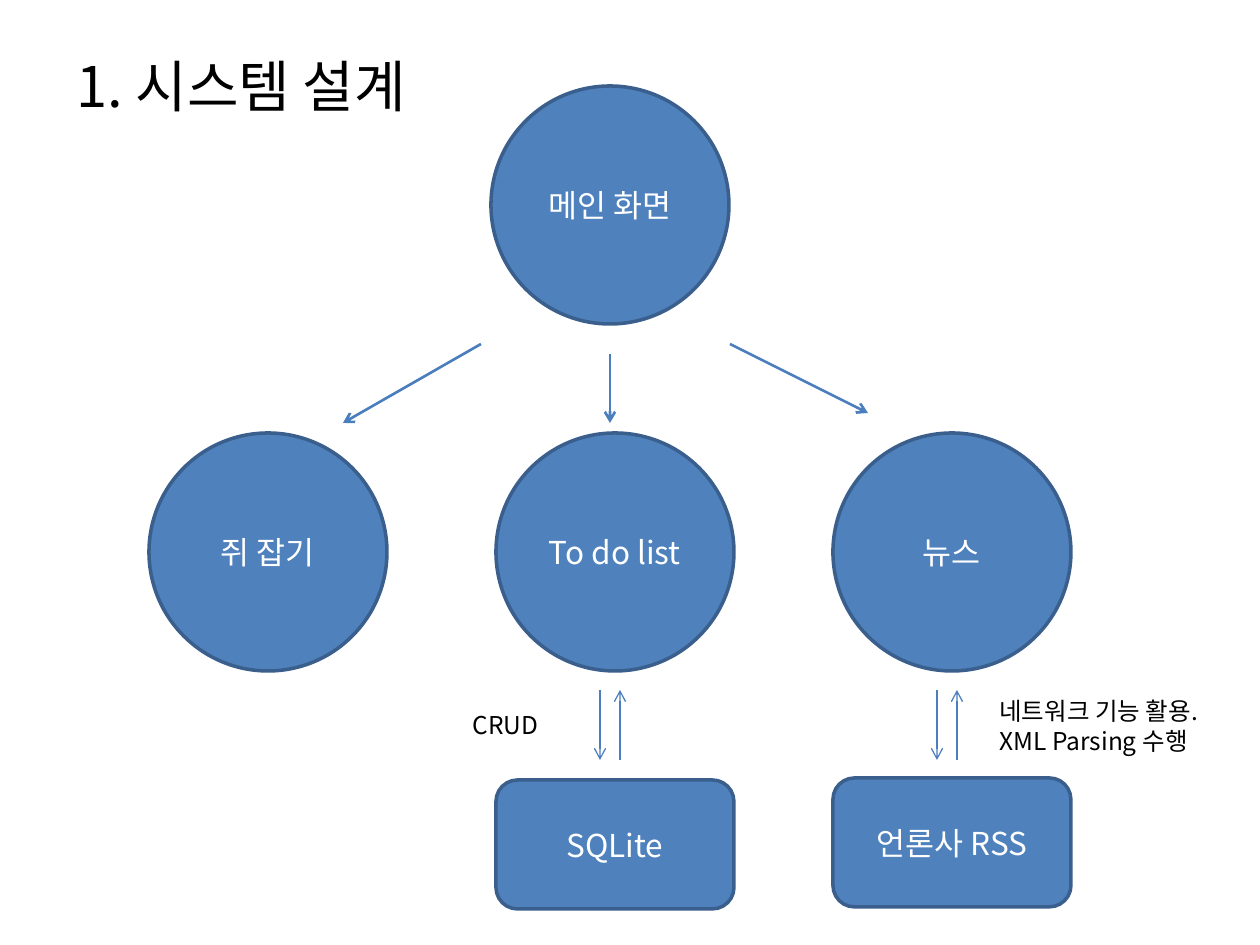
"""Build a one-slide system design diagram: main screen, three features and their data sources."""
from pptx import Presentation
from pptx import util as u
from pptx.dml.color import RGBColor
from pptx.enum import shapes, text
from pptx.oxml.ns import qn
from lxml import etree

FONT = "Noto Sans CJK KR"
COLORS = {"fill": "4F81BD", "edge": "3A5F8C", "arrow": "4B7EBC", "white": "FFFFFF", "black": "000000"}
PX = 914400 // 126
DIAMETER, BOX_H = 238, 129
FEATURE_Y = 433

CIRCLES = [
    ("메인 화면", 491, 86),
    ("To do list", 496, FEATURE_Y),
    ("쥐 잡기", 149, FEATURE_Y),
    ("뉴스", 833, FEATURE_Y),
]
SOURCES = [("SQLite", 496, 780), ("언론사 RSS", 833, 778)]
BRANCHES = [(481, 344, 343, 423), (610, 354, 610, 423), (730, 344, 868, 413)]
EXCHANGE_TOP, EXCHANGE_BOTTOM = 690, 760
LABELS = [
    (["1. 시스템 설계"], (64, 45, 1005, 149), 32, True),
    (["CRUD"], (460, 704, 91, 43), 14, False),
    (["네트워크 기능 활용.", "XML Parsing 수행"], (987, 690, 246, 72), 14, False),
]

prs = Presentation()
prs.slide_width, prs.slide_height = u.Inches(10), u.Inches(7.5)
s = prs.slides.add_slide(prs.slide_layouts[6])


def rgb(name):
    return RGBColor.from_string(COLORS[name])


def write(tf, lines, size=18, color="white", align=text.PP_ALIGN.CENTER,
          anchor=text.MSO_ANCHOR.MIDDLE, wrap=True):
    tf.word_wrap = wrap
    tf.vertical_anchor = anchor
    for i, line in enumerate(lines):
        p = tf.paragraphs[0] if i == 0 else tf.add_paragraph()
        p.alignment = align
        r = p.add_run()
        r.text = line
        r.font.size = u.Pt(size)
        r.font.name = FONT
        r.font.color.rgb = rgb(color)
        etree.SubElement(r.font._element, qn("a:ea"), typeface=FONT)


def add_node(kind, label, x, y, h):
    sp = s.shapes.add_shape(kind, x * PX, y * PX, DIAMETER * PX, h * PX)
    sp.shadow.inherit = False
    sp.fill.solid()
    sp.fill.fore_color.rgb = rgb("fill")
    sp.line.color.rgb = rgb("edge")
    sp.line.width = u.Pt(2)
    write(sp.text_frame, [label])


def add_arrow(x1, y1, x2, y2, width):
    c = s.shapes.add_connector(shapes.MSO_CONNECTOR.STRAIGHT, x1 * PX, y1 * PX, x2 * PX, y2 * PX)
    c.line.color.rgb = rgb("arrow")
    c.line.width = u.Pt(width)
    etree.SubElement(c.line._get_or_add_ln(), qn("a:tailEnd"), type="arrow")
    etree.SubElement(c._element.spPr, qn("a:effectLst"))


for label, x, y in CIRCLES:
    add_node(shapes.MSO_SHAPE.OVAL, label, x, y, DIAMETER)
for branch in BRANCHES:
    add_arrow(*branch, width=1.5)
for label, x, y in SOURCES:
    center = x + DIAMETER // 2
    add_arrow(center - 15, EXCHANGE_TOP, center - 15, EXCHANGE_BOTTOM, width=0.75)
    add_arrow(center + 5, EXCHANGE_BOTTOM, center + 5, EXCHANGE_TOP, width=0.75)
    add_node(shapes.MSO_SHAPE.ROUNDED_RECTANGLE, label, x, y, BOX_H)
for lines, box, size, wrap in LABELS:
    tb = s.shapes.add_textbox(*(v * PX for v in box))
    write(tb.text_frame, lines, size=size, color="black", align=text.PP_ALIGN.LEFT,
          anchor=text.MSO_ANCHOR.TOP, wrap=wrap)

prs.save("out.pptx")
